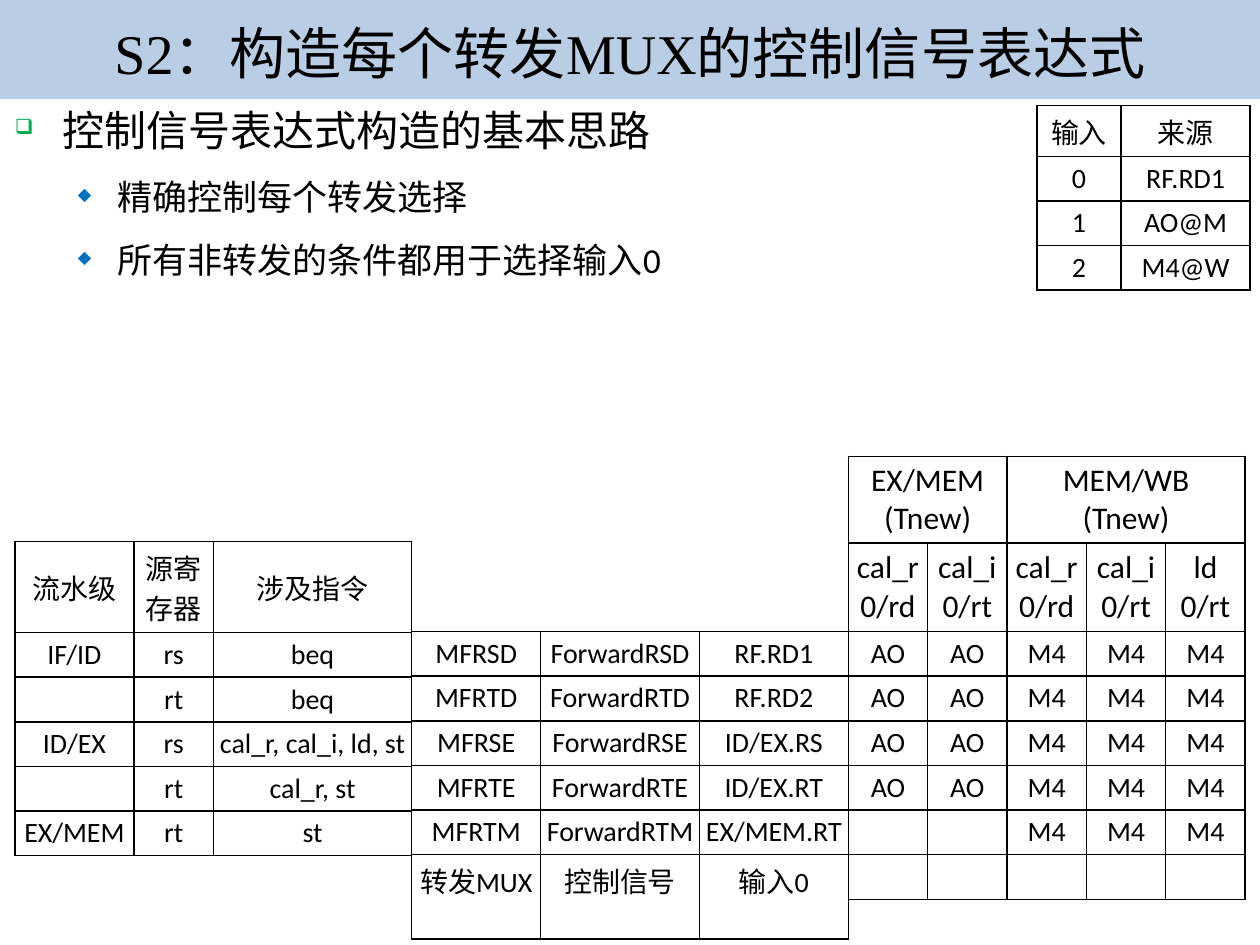
from lxml import etree
from pptx import Presentation
from pptx.dml.color import RGBColor
from pptx.enum.shapes import MSO_SHAPE
from pptx.enum.text import MSO_ANCHOR, PP_ALIGN
from pptx.oxml.ns import qn
from pptx.util import Cm, Pt

RECTANGLE = MSO_SHAPE.RECTANGLE
TOP, MIDDLE = MSO_ANCHOR.TOP, MSO_ANCHOR.MIDDLE
CENTER = PP_ALIGN.CENTER
rgb = RGBColor.from_string
BLACK, WHITE = "000000", "FFFFFF"
CJK_FONT = "Noto Sans CJK SC"
ROW = 0.9
STAGE_COL = 1.6


def style_paragraph(paragraph, size, latin="Calibri"):
    for run in paragraph.runs:
        run.font.color.rgb = rgb(BLACK)
        for name, value in {"size": Pt(size), "name": latin}.items():
            setattr(run.font, name, value)
        etree.SubElement(run.font._element, qn("a:ea"), typeface=CJK_FONT)
    if not paragraph.runs:
        etree.SubElement(paragraph._p, qn("a:endParaRPr"), sz=str(size * 100))


def add_grid(left, top, widths, heights, texts, size=16, anchor=TOP, fill=WHITE, merges=()):
    grid = slide.shapes.add_table(
        len(heights), len(widths), Cm(left), Cm(top), Cm(sum(widths)), Cm(sum(heights))
    ).table
    for name in ("first_row", "horz_banding"):
        setattr(grid, name, False)
    for column, width in zip(grid.columns, widths):
        column.width = Cm(width)
    for row, height in zip(grid.rows, heights):
        row.height = Cm(height)
    for r, line in enumerate(texts):
        for c, text in enumerate(line):
            cell = grid.cell(r, c)
            cell.text = text
            cell_format = {"vertical_anchor": anchor}
            for side in ("left", "right", "top", "bottom"):
                cell_format["margin_" + side] = Cm(0.1)
            for name, value in cell_format.items():
                setattr(cell, name, value)
            for paragraph in cell.text_frame.paragraphs:
                paragraph.alignment = CENTER
                style_paragraph(paragraph, size)
            for edge in ("a:lnL", "a:lnR", "a:lnT", "a:lnB"):
                border = etree.SubElement(cell._tc.get_or_add_tcPr(), qn(edge), w=str(Pt(1)))
                paint = etree.SubElement(border, qn("a:solidFill"))
                etree.SubElement(paint, qn("a:srgbClr"), val=BLACK)
            if fill:
                cell.fill.solid()
                cell.fill.fore_color.rgb = rgb(fill)
            else:
                cell.fill.background()
    for r, first, last in merges:
        grid.cell(r, first).merge(grid.cell(r, last))


prs = Presentation()
prs.slide_width, prs.slide_height = Cm(25.4), Cm(19.05)
slide = prs.slides.add_slide(prs.slide_layouts[6])

band = slide.shapes.add_shape(RECTANGLE, 0, 0, prs.slide_width, Cm(2))
band.shadow.inherit = False
band.fill.solid()
band.fill.fore_color.rgb = rgb("B9CDE5")
band.line.fill.background()

title = slide.shapes.add_textbox(0, Cm(0.37), prs.slide_width, Cm(1.37)).text_frame
for name, value in {"word_wrap": True, "vertical_anchor": MIDDLE,
                    "text": "S2：构造每个转发MUX的控制信号表达式"}.items():
    setattr(title, name, value)
title.paragraphs[0].alignment = CENTER
style_paragraph(title.paragraphs[0], 32, "Times New Roman")

ideas = slide.shapes.add_textbox(Cm(0.3), Cm(1.96), Cm(24.8), Cm(3.8)).text_frame
for name, value in {"word_wrap": True, "margin_left": 0, "margin_right": 0,
                    "margin_top": Cm(0.1), "margin_bottom": Cm(0.1)}.items():
    setattr(ideas, name, value)
ideas.text = "控制信号表达式构造的基本思路\n精确控制每个转发选择\n所有非转发的条件都用于选择输入0"
topic = (0, 24, 30, 0.96, 0.96, "❑", "00B050")
detail = (1, 20, 24, 2.06, 0.79, "◆", "0070C0")
for paragraph, (level, size, pitch, indent, hanging, mark, mark_color) in zip(
    ideas.paragraphs, [topic, detail, detail]
):
    for name, value in {"level": level, "space_before": Pt(12), "line_spacing": Pt(pitch)}.items():
        setattr(paragraph, name, value)
    style_paragraph(paragraph, size)
    properties = paragraph._p.get_or_add_pPr()
    properties.set("marL", str(Cm(indent)))
    properties.set("indent", str(-Cm(hanging)))
    bullet_color = etree.SubElement(properties, qn("a:buClr"))
    etree.SubElement(bullet_color, qn("a:srgbClr"), val=mark_color)
    etree.SubElement(properties, qn("a:buSzPct"), val="50000")
    etree.SubElement(properties, qn("a:buChar"), char=mark)

demands = [
    ("流水级", "源寄存器", "涉及指令"),
    ("IF/ID", "rs", "beq"),
    ("", "rt", "beq"),
    ("ID/EX", "rs", "cal_r, cal_i, ld, st"),
    ("", "rt", "cal_r, st"),
    ("EX/MEM", "rt", "st"),
]
add_grid(0.3, 10.92, [2.4, STAGE_COL, 4], [1.83] + [ROW] * 5, demands, anchor=MIDDLE)

muxes = [
    ("MF" + code, "Forward" + code, source)
    for code, source in [("RSD", "RF.RD1"), ("RTD", "RF.RD2"), ("RSE", "ID/EX.RS"),
                         ("RTE", "ID/EX.RT"), ("RTM", "EX/MEM.RT")]
]
muxes.append(("转发MUX", "控制信号", "输入0"))
add_grid(8.3, 12.73, [2.6, 3.2, 3], [ROW] * 5 + [1.7], muxes)

supplies = [
    ("EX/MEM\n(Tnew)", "", "MEM/WB\n(Tnew)", "", ""),
    ("cal_r\n0/rd", "cal_i\n0/rt", "cal_r\n0/rd", "cal_i\n0/rt", "ld\n0/rt"),
]
add_grid(17.1, 9.2, [STAGE_COL] * 5, [1.75, 1.78], supplies, size=18, anchor=MIDDLE,
         fill=None, merges=[(0, 0, 1), (0, 2, 4)])

choices = [["AO"] * 2 + ["M4"] * 3] * 4 + [[""] * 2 + ["M4"] * 3, [""] * 5]
add_grid(17.1, 12.73, [STAGE_COL] * 5, [ROW] * 6, choices)

inputs = [("输入", "来源"), ("0", "RF.RD1"), ("1", "AO@M"), ("2", "M4@W")]
add_grid(20.9, 2.13, [1.7, 2.6], [1.02] + [ROW] * 3, inputs, anchor=MIDDLE, fill=None)

prs.save("out.pptx")
